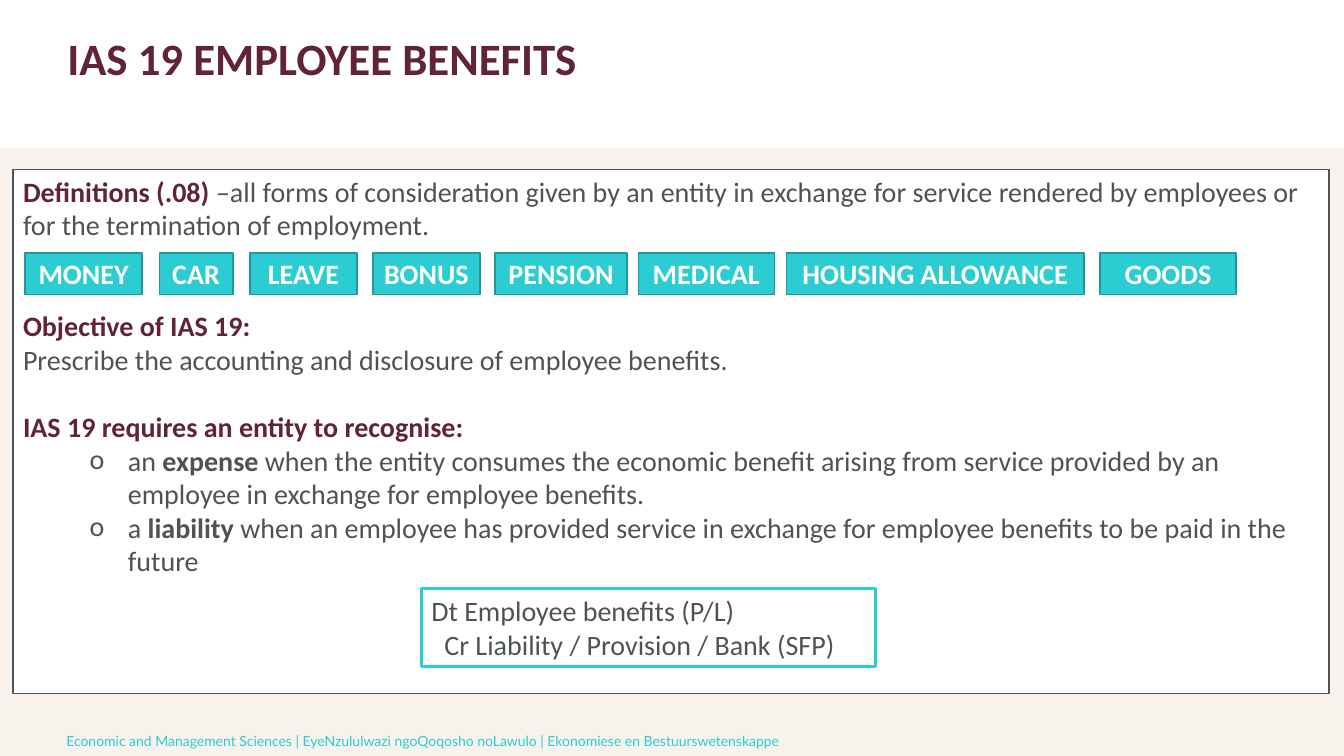
from lxml import etree
from pptx import Presentation
from pptx.dml.color import RGBColor
from pptx.enum.shapes import MSO_SHAPE
from pptx.enum.text import MSO_ANCHOR, PP_ALIGN
from pptx.oxml.ns import qn
from pptx.util import Inches, Pt

RECTANGLE = MSO_SHAPE.RECTANGLE
TOP, MIDDLE = MSO_ANCHOR.TOP, MSO_ANCHOR.MIDDLE
LEFT, CENTER = PP_ALIGN.LEFT, PP_ALIGN.CENTER

WHITE = RGBColor(0xFF, 0xFF, 0xFF)
CREAM = RGBColor(0xF7, 0xF3, 0xEC)
MAROON = RGBColor(0x61, 0x22, 0x3B)
GREY = RGBColor(0x4D, 0x53, 0x56)
TURQUOISE = RGBColor(0x2C, 0xCC, 0xD3)
TEAL = RGBColor(0x21, 0x97, 0x9C)

DEFINITIONS = [
    (0, False, [("Definitions (.08) ", MAROON, True),
                ("–all forms of consideration given by an entity in exchange for service "
                 "rendered by employees or for the termination of employment.", GREY, False)]),
    (48, False, [("Objective of IAS 19:", MAROON, True)]),
    (0, False, [("Prescribe the accounting and disclosure of employee benefits.", GREY, False)]),
    (24, False, [("IAS 19 requires an entity to recognise:", MAROON, True)]),
    (0, True, [("an ", GREY, False), ("expense", GREY, True),
               (" when the entity consumes the economic benefit arising from service provided "
                "by an employee in exchange for employee benefits.", GREY, False)]),
    (0, True, [("a", GREY, False), (" liability ", GREY, True),
               ("when an employee has provided service in exchange for employee benefits "
                "to be paid in the future", GREY, False)]),
]
BENEFITS = [
    ("MONEY", 0.12, 1.16), ("CAR", 1.45, 0.73), ("LEAVE", 2.35, 1.06), ("BONUS", 3.57, 1.06),
    ("PENSION", 4.78, 1.31), ("MEDICAL", 6.2, 1.35), ("HOUSING ALLOWANCE", 7.67, 2.95),
    ("GOODS", 10.78, 1.35),
]
JOURNAL_ENTRY = [("Dt Employee benefits (P/L)", 0), ("Cr Liability / Provision / Bank (SFP)", 0.13)]


def add_box(slide, box, fill, line=None, weight=1, anchor=TOP):
    """Draw a rectangle and return it."""
    rectangle = slide.shapes.add_shape(RECTANGLE, *map(Inches, box))
    rectangle.shadow.inherit = False
    rectangle.fill.solid()
    rectangle.fill.fore_color.rgb = fill
    if line is None:
        rectangle.line.fill.background()
    else:
        rectangle.line.color.rgb = line
        rectangle.line.width = Pt(weight)
    rectangle.text_frame.vertical_anchor = anchor
    return rectangle


def write(paragraph, runs, size=20, font="Calibri", align=LEFT):
    """Fill a paragraph with runs of text, colour and weight."""
    paragraph.alignment = align
    for text, color, bold in runs:
        run = paragraph.add_run()
        run.text = text
        run.font.name = font
        run.font.size = Pt(size)
        run.font.bold = bold
        run.font.color.rgb = color


def next_paragraph(frame, index):
    """Return the first paragraph, or add a further one."""
    return frame.add_paragraph() if index else frame.paragraphs[0]


def set_indent(paragraph, margin, hanging=0):
    """Set the left margin and hanging indent in inches."""
    properties = paragraph._p.get_or_add_pPr()
    properties.set("marL", str(Inches(margin)))
    properties.set("indent", str(-Inches(hanging)))
    return properties


def add_bullet(paragraph):
    """Give a paragraph a grey round bullet."""
    properties = set_indent(paragraph, 1.04, 0.38)
    color = etree.SubElement(properties, qn("a:buClr"))
    etree.SubElement(color, qn("a:srgbClr")).set("val", str(GREY))
    etree.SubElement(properties, qn("a:buFont")).set("typeface", "Calibri")
    etree.SubElement(properties, qn("a:buChar")).set("char", "o")


def add_header(slide, box):
    """Place the white band and the title in it."""
    left, top, width, height = box
    add_box(slide, box, WHITE)
    title = slide.shapes.add_textbox(
        Inches(left + 0.57), Inches(top + 0.32), Inches(9.11), Inches(height - 0.36))
    title.text_frame.word_wrap = True
    heading = title.text_frame.paragraphs[0]
    heading.line_spacing = 0.9
    write(heading, [("IAS 19 EMPLOYEE BENEFITS", MAROON, True)], size=32)


def add_definitions(slide, box):
    """Place the panel with its definitions, benefits and journal entry."""
    left, top, _, _ = box
    frame = add_box(slide, box, WHITE, GREY).text_frame
    frame.word_wrap = True
    for index, (space, bulleted, runs) in enumerate(DEFINITIONS):
        paragraph = next_paragraph(frame, index)
        if space:
            paragraph.space_before = Pt(space)
        if bulleted:
            add_bullet(paragraph)
        write(paragraph, runs)
    for benefit, offset, width in BENEFITS:
        tag = add_box(slide, (left + offset, top + 0.83, width, 0.41), TURQUOISE, TEAL, anchor=MIDDLE)
        write(tag.text_frame.paragraphs[0], [(benefit, WHITE, True)], align=CENTER)
    add_journal_entry(slide, (left + 4.05, top + 4.16, 4.5, 0.77))


def add_journal_entry(slide, box):
    """Place the debit and credit lines in a framed box."""
    frame = add_box(slide, box, WHITE, TURQUOISE, 2.25).text_frame
    frame.word_wrap = True
    for index, (entry, margin) in enumerate(JOURNAL_ENTRY):
        paragraph = next_paragraph(frame, index)
        set_indent(paragraph, margin)
        write(paragraph, [(entry, GREY, False)])


def add_footer(slide, box):
    """Place the faculty names along the bottom."""
    footer = slide.shapes.add_textbox(*map(Inches, box))
    footer.text_frame.word_wrap = True
    faculty = ("Economic and Management Sciences | EyeNzululwazi ngoQoqosho noLawulo | "
               "Ekonomiese en Bestuurswetenskappe")
    write(footer.text_frame.paragraphs[0], [(faculty, TURQUOISE, False)], size=10, font="Lato")


def main():
    """Build the slide and save it."""
    deck = Presentation()
    deck.slide_width, deck.slide_height = Inches(13.33), Inches(7.5)
    slide = deck.slides.add_slide(deck.slide_layouts[6])
    slide.background.fill.solid()
    slide.background.fill.fore_color.rgb = CREAM
    add_header(slide, (0, 0, 13.33, 1.47))
    add_footer(slide, (0.56, 7.22, 12.17, 0.29))
    add_definitions(slide, (0.13, 1.68, 13.05, 5.2))
    deck.save("out.pptx")


if __name__ == "__main__":
    main()
